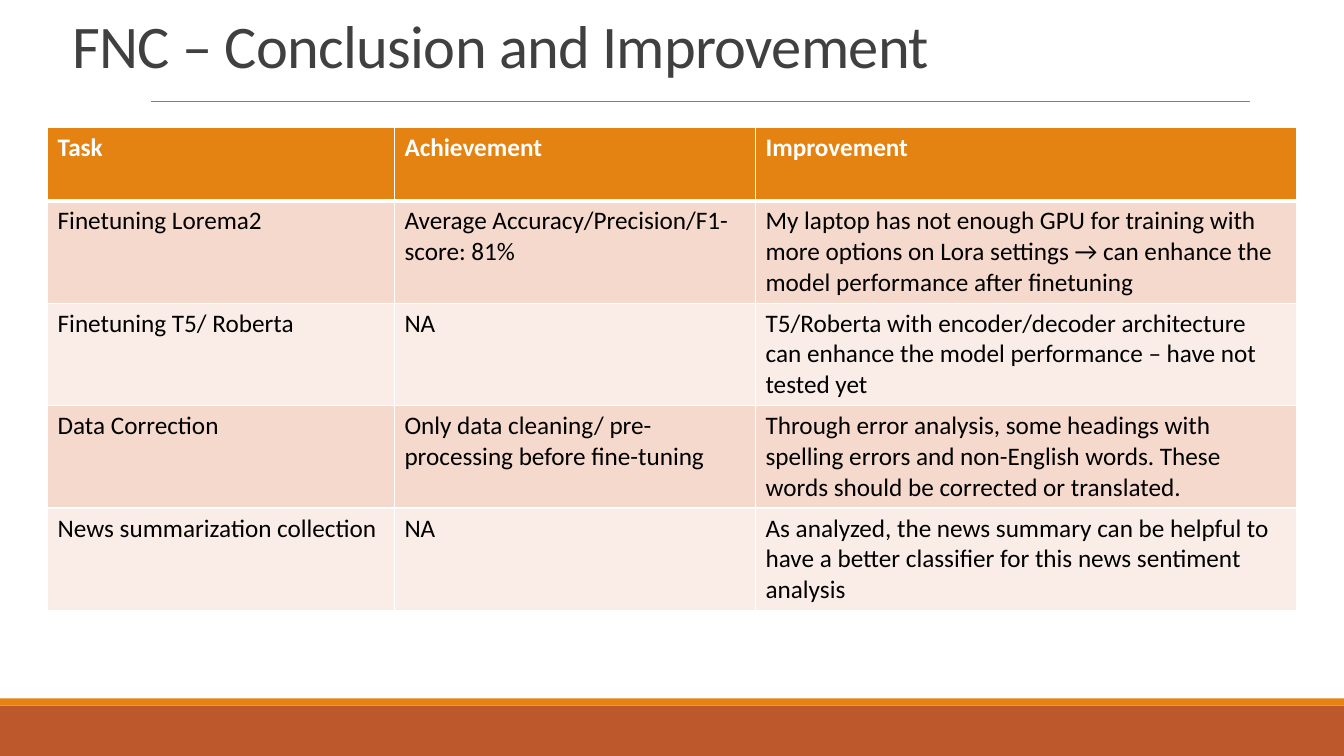
from lxml.etree import SubElement
from pptx import Presentation
from pptx.dml.color import RGBColor
from pptx.enum.shapes import MSO_CONNECTOR, MSO_SHAPE
from pptx.enum.text import MSO_ANCHOR
from pptx.oxml import parse_xml
from pptx.oxml.ns import nsdecls, qn
from pptx.util import Cm, Pt

SLIDE_WIDTH, SLIDE_HEIGHT = Cm(33.87), Cm(19.05)
ORANGE, RUST, WHITE = "E48312", "BD582C", "FFFFFF"
BODY_FILLS = ("F5D9CC", "FAEDE7")
HEADINGS = ("Task", "Achievement", "Improvement")
TASKS = (
    ("Finetuning Lorema2",
     "Average Accuracy/Precision/F1-score: 81%",
     "My laptop has not enough GPU for training with more options on Lora settings "
     "→ can enhance the model performance after finetuning"),
    ("Finetuning T5/ Roberta",
     "NA",
     "T5/Roberta with encoder/decoder architecture can enhance the model performance "
     "– have not tested yet"),
    ("Data Correction",
     "Only data cleaning/ pre-processing before fine-tuning",
     "Through error analysis, some headings with spelling errors and non-English words. "
     "These words should be corrected or translated."),
    ("News summarization collection",
     "NA",
     "As analyzed, the news summary can be helpful to have a better classifier for this "
     "news sentiment analysis"),
)


def color(value):
    return RGBColor.from_string(value)


def write(frame, text, size=18, ink="000000", bold=False, line_spacing=None, tracking=None):
    paragraph = frame.paragraphs[0]
    paragraph.line_spacing = line_spacing
    run = paragraph.add_run()
    run.text = text
    run.font.name = "Calibri"
    run.font.size = Pt(size)
    run.font.bold = bold
    run.font.color.rgb = color(ink)
    if tracking is not None:
        run.font._element.set("spc", str(round(tracking * 100)))


def add_band(slide, left, top, width, height, fill):
    band = slide.shapes.add_shape(MSO_SHAPE.RECTANGLE, left, top, width, height)
    band.shadow.inherit = False
    band.fill.solid()
    band.fill.fore_color.rgb = color(fill)
    band.line.fill.background()


def add_footer(slide, left, top, width, height):
    """Wide rust band with a thin orange strip along its top."""
    strip_height = Cm(0.18)
    add_band(slide, left, top + strip_height, width, height - strip_height, RUST)
    add_band(slide, left, top, width, strip_height, ORANGE)


def add_title(slide, left, top, width, height):
    """Heading with a thin rule below it."""
    rule_left, rule_right, rule_top = left + Cm(2.23), left + Cm(29.92), top + Cm(2.13)
    rule = slide.shapes.add_connector(
        MSO_CONNECTOR.STRAIGHT, rule_left, rule_top, rule_right, rule_top)
    rule.line.color.rgb = color("808080")
    rule.line.width = Pt(0.5)
    SubElement(rule._element.spPr, qn("a:effectLst"))

    heading = slide.shapes.add_textbox(left, top, width, height).text_frame
    heading.word_wrap = True
    heading.vertical_anchor = MSO_ANCHOR.BOTTOM
    write(heading, "FNC – Conclusion and Improvement", size=43.2, ink="404040",
          line_spacing=0.85, tracking=-0.5)


def set_borders(cell, **widths):
    """White borders, in points, keyed by side in schema order: L, R, T, B."""
    properties = cell._tc.get_or_add_tcPr()
    for position, (side, width) in enumerate(widths.items()):
        properties.insert(position, parse_xml(
            f'<a:ln{side} {nsdecls("a")} w="{Pt(width)}"><a:solidFill>'
            f'<a:srgbClr val="{WHITE}"/></a:solidFill></a:ln{side}>'))


def add_task_table(slide, left, top, width, height):
    rows = (HEADINGS, *TASKS)
    table = slide.shapes.add_table(
        len(rows), len(HEADINGS), left, top, width, height).table
    column_widths = (Cm(8.74), Cm(9.1))
    for column, column_width in zip(
            table.columns, (*column_widths, width - sum(column_widths))):
        column.width = column_width
    header_height = Cm(1.86)
    for index, texts in enumerate(rows):
        is_header = index == 0
        table.rows[index].height = (
            header_height if is_header else (height - header_height) // len(TASKS))
        for cell, text in zip(table.rows[index].cells, texts):
            cell.fill.solid()
            cell.fill.fore_color.rgb = color(
                ORANGE if is_header else BODY_FILLS[(index - 1) % 2])
            set_borders(cell, L=1, R=1, T=3 if index == 1 else 1, B=3 if is_header else 1)
            write(cell.text_frame, text, ink=WHITE if is_header else "000000",
                  bold=is_header)


def main():
    deck = Presentation()
    deck.slide_width, deck.slide_height = SLIDE_WIDTH, SLIDE_HEIGHT
    slide = deck.slides.add_slide(deck.slide_layouts[6])
    footer_height = Cm(1.45)
    add_footer(slide, 0, SLIDE_HEIGHT - footer_height, SLIDE_WIDTH, footer_height)
    add_title(slide, Cm(1.58), Cm(0.43), Cm(27.94), Cm(1.73))
    add_task_table(slide, Cm(1.2), Cm(3.2), Cm(31.47), Cm(12.18))
    deck.save("out.pptx")


if __name__ == "__main__":
    main()
